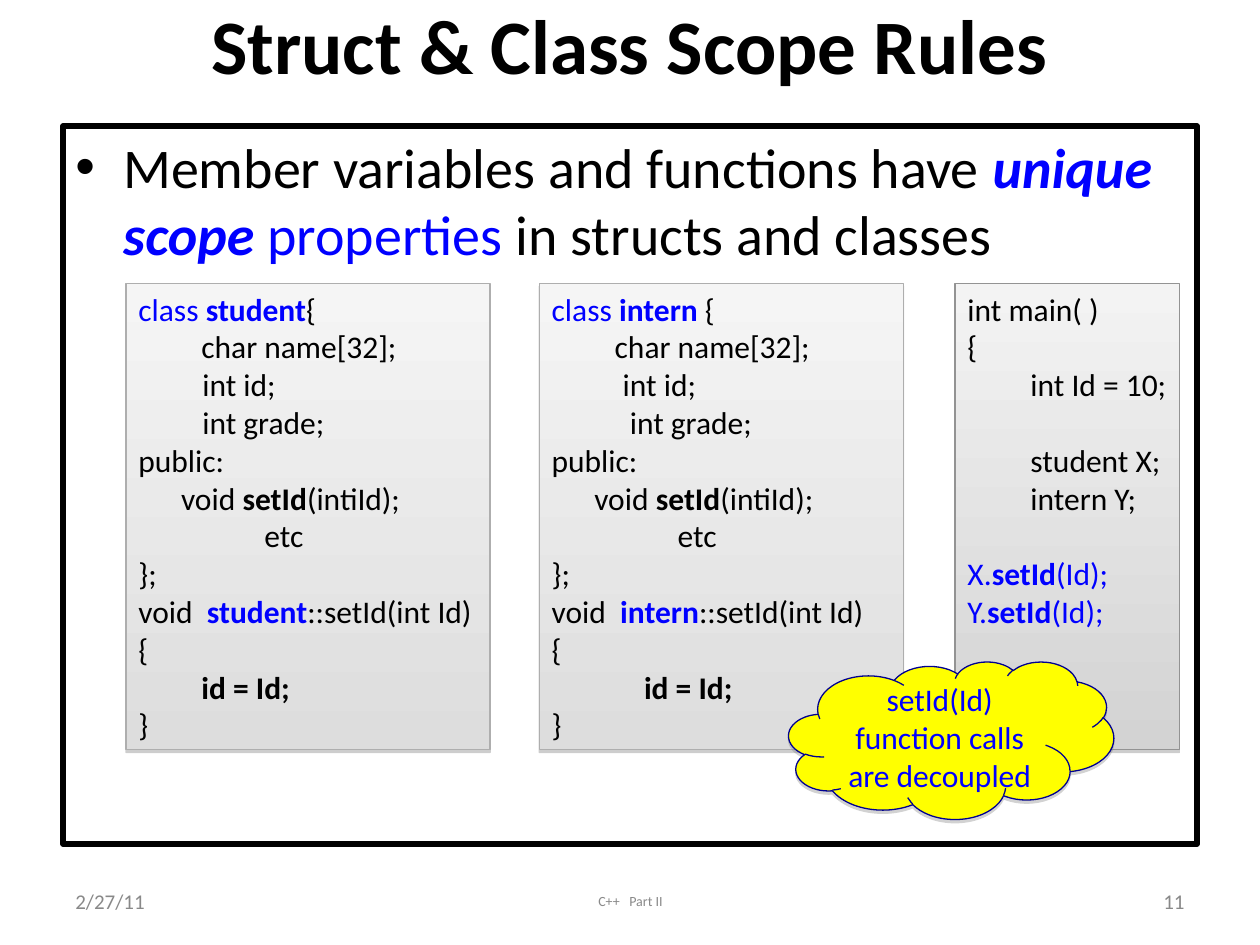
from lxml import etree
from pptx import Presentation
from pptx.dml.color import RGBColor
from pptx.enum.shapes import MSO_SHAPE
from pptx.enum.text import MSO_ANCHOR, MSO_AUTO_SIZE, PP_ALIGN
from pptx.oxml.ns import qn
from pptx.util import Inches, Pt

RECTANGLE, CLOUD = MSO_SHAPE.RECTANGLE, MSO_SHAPE.CLOUD
TOP, MIDDLE = MSO_ANCHOR.TOP, MSO_ANCHOR.MIDDLE
LEFT, CENTER, RIGHT = PP_ALIGN.LEFT, PP_ALIGN.CENTER, PP_ALIGN.RIGHT
GROW = MSO_AUTO_SIZE.SHAPE_TO_FIT_TEXT

BLACK = RGBColor(0x00, 0x00, 0x00)
BLUE = RGBColor(0x00, 0x00, 0xFF)
NAVY = RGBColor(0x00, 0x00, 0x90)
YELLOW = RGBColor(0xFF, 0xFF, 0x00)
FOOTER_GRAY = RGBColor(0x89, 0x89, 0x89)
CLASS_EDGE = RGBColor(0xAE, 0xAE, 0xAE)
CLASS_SHADES = (RGBColor(0xF5, 0xF5, 0xF5), RGBColor(0xDD, 0xDD, 0xDD))
MAIN_EDGE = RGBColor(0x93, 0x93, 0x93)
MAIN_SHADES = (RGBColor(0xF3, 0xF3, 0xF3), RGBColor(0xD3, 0xD3, 0xD3))

BOLD = {"bold": True}
CALL = {"color": BLUE}
NAME = {"color": BLUE, "bold": True}
EMPHASIS = {"color": BLUE, "bold": True, "italic": True}


def class_code(name, opening, id_indent, grade_indent, body_indent):
    """Lines of a class; each line is a list of (text, style) runs."""
    return [
        [("class ", CALL), (name, NAME), (opening, {})],
        [("\tchar name[32];", {})],
        [(id_indent + "int id;", {})],
        [(grade_indent + "int grade;", {})],
        [("public:", {})],
        [("      void ", {}), ("setId", BOLD), ("(intiId);", {})],
        [("\t\tetc", {})],
        [("};", {})],
        [("void  ", {}), (name, NAME), ("::setId(int Id)", {})],
        [("{", {})],
        [(body_indent + "id = Id;", BOLD)],
        [("}", {})],
    ]


def main_code():
    calls = [[(f"{variable}.", CALL), ("setId", NAME), ("(Id);", CALL)]
             for variable in "XY"]
    declarations = ["int main( )", "{", "\tint Id = 10;", "",
                    "\tstudent X;", "\tintern Y;", ""]
    return ([[(line, {})] for line in declarations] + calls
            + [[(line, {})] for line in ("", "", "}")])


class SlideBuilder:
    font_name = "Calibri"
    tab_step = 0.5

    def __init__(self, slide):
        self.slide = slide

    def set_lines(self, frame, lines, size, color=BLACK, align=LEFT, anchor=TOP):
        frame.vertical_anchor = anchor
        for index, runs in enumerate(lines):
            paragraph = frame.paragraphs[0] if index == 0 else frame.add_paragraph()
            paragraph.alignment = align
            self.add_tabs(paragraph)
            paragraph.font.size = Pt(size)
            for text, style in runs:
                run = paragraph.add_run()
                run.text = text
                font = run.font
                font.name, font.size = self.font_name, Pt(size)
                font.bold = style.get("bold", False)
                font.italic = style.get("italic", False)
                font.color.rgb = style.get("color", color)

    def add_tabs(self, paragraph):
        stops = etree.SubElement(paragraph._p.get_or_add_pPr(), qn("a:tabLst"))
        for step in range(1, 8):
            etree.SubElement(stops, qn("a:tab"), algn="l",
                             pos=str(Inches(step * self.tab_step)))

    def title(self, text, left, top, width, height):
        title = self.slide.shapes.title
        title.left, title.top = Inches(left), Inches(top)
        title.width, title.height = Inches(width), Inches(height)
        self.set_lines(title.text_frame, [[(text, BOLD)]], 44,
                       align=CENTER, anchor=MIDDLE)

    def shape(self, kind, left, top, width, height, edge, edge_width):
        shape = self.slide.shapes.add_shape(
            kind, Inches(left), Inches(top), Inches(width), Inches(height))
        shape.shadow.inherit = False
        shape.line.color.rgb = edge
        shape.line.width = Pt(edge_width)
        shape.text_frame.word_wrap = True
        return shape

    def drop_shadow(self, shape, distance, opacity):
        effects = shape._element.spPr.find(qn("a:effectLst"))
        shadow = etree.SubElement(
            effects, qn("a:outerShdw"), blurRad="0", dist=str(Pt(distance)),
            dir="5400000", rotWithShape="0")
        gray = etree.SubElement(shadow, qn("a:srgbClr"), val="808080")
        etree.SubElement(gray, qn("a:alpha"), val=str(opacity * 1000))

    def bullet_frame(self, runs, left, top, width, height):
        frame = self.shape(RECTANGLE, left, top, width, height, BLACK, 3)
        frame.fill.background()
        properties = frame.text_frame.paragraphs[0]._p.get_or_add_pPr()
        properties.set("marL", str(Inches(0.38)))
        properties.set("indent", str(-Inches(0.38)))
        color = etree.SubElement(properties, qn("a:buClr"))
        etree.SubElement(color, qn("a:srgbClr"), val=str(BLACK))
        etree.SubElement(properties, qn("a:buFont"), typeface="Arial")
        etree.SubElement(properties, qn("a:buChar"), char="•")
        self.set_lines(frame.text_frame, [runs], 32)

    def code_panel(self, lines, left, width, edge, shades, wrap=True):
        panel = self.shape(RECTANGLE, left, 2.25, width, 3.7, edge, 0.75)
        panel.fill.gradient()
        panel.fill.gradient_angle = 270
        for stop, shade in zip(panel.fill.gradient_stops, shades):
            stop.color.rgb = shade
        self.drop_shadow(panel, 1.6, 38)
        panel.text_frame.word_wrap = wrap
        panel.text_frame.auto_size = GROW
        self.set_lines(panel.text_frame, lines, 18)

    def cloud(self, text, left, top, width, height):
        cloud = self.shape(CLOUD, left, top, width, height, NAVY, 0.75)
        cloud.fill.solid()
        cloud.fill.fore_color.rgb = YELLOW
        self.drop_shadow(cloud, 1.8, 35)
        self.set_lines(cloud.text_frame, [[(text, CALL)]], 18,
                       align=CENTER, anchor=MIDDLE)

    def footer(self, text, left, width, size, align):
        box = self.slide.shapes.add_textbox(
            Inches(left), Inches(6.95), Inches(width), Inches(0.4))
        box.text_frame.word_wrap = True
        self.set_lines(box.text_frame, [[(text, {})]], size, FOOTER_GRAY,
                       align, MIDDLE)


def main():
    presentation = Presentation()
    presentation.slide_width, presentation.slide_height = Inches(10), Inches(7.5)
    title_only = presentation.slide_layouts[5]
    builder = SlideBuilder(presentation.slides.add_slide(title_only))

    builder.title("Struct & Class Scope Rules", 0.5, 0, 9, 0.7)
    builder.bullet_frame(
        [("Member variables and functions have ", {}),
         ("unique scope", EMPHASIS), (" properties ", CALL),
         ("in structs and classes", {})], 0.5, 1, 9, 5.7)

    builder.footer("2/27/11", 0.5, 2.33, 12, LEFT)
    builder.footer("C++   Part II", 3.42, 3.17, 8, CENTER)
    builder.footer("11", 7.17, 2.33, 12, RIGHT)

    student = class_code("student", "{", " " * 9, " " * 9, "\t")
    intern = class_code("intern", " {", " " * 10, " " * 11, " " * 13)
    builder.code_panel(student, 1, 2.89, CLASS_EDGE, CLASS_SHADES)
    builder.code_panel(intern, 4.28, 2.89, CLASS_EDGE, CLASS_SHADES)
    builder.code_panel(main_code(), 7.58, 1.78, MAIN_EDGE, MAIN_SHADES, wrap=False)
    builder.cloud("setId(Id) function calls are decoupled", 6.26, 5.25, 2.58, 1.25)

    presentation.save("out.pptx")


if __name__ == "__main__":
    main()
